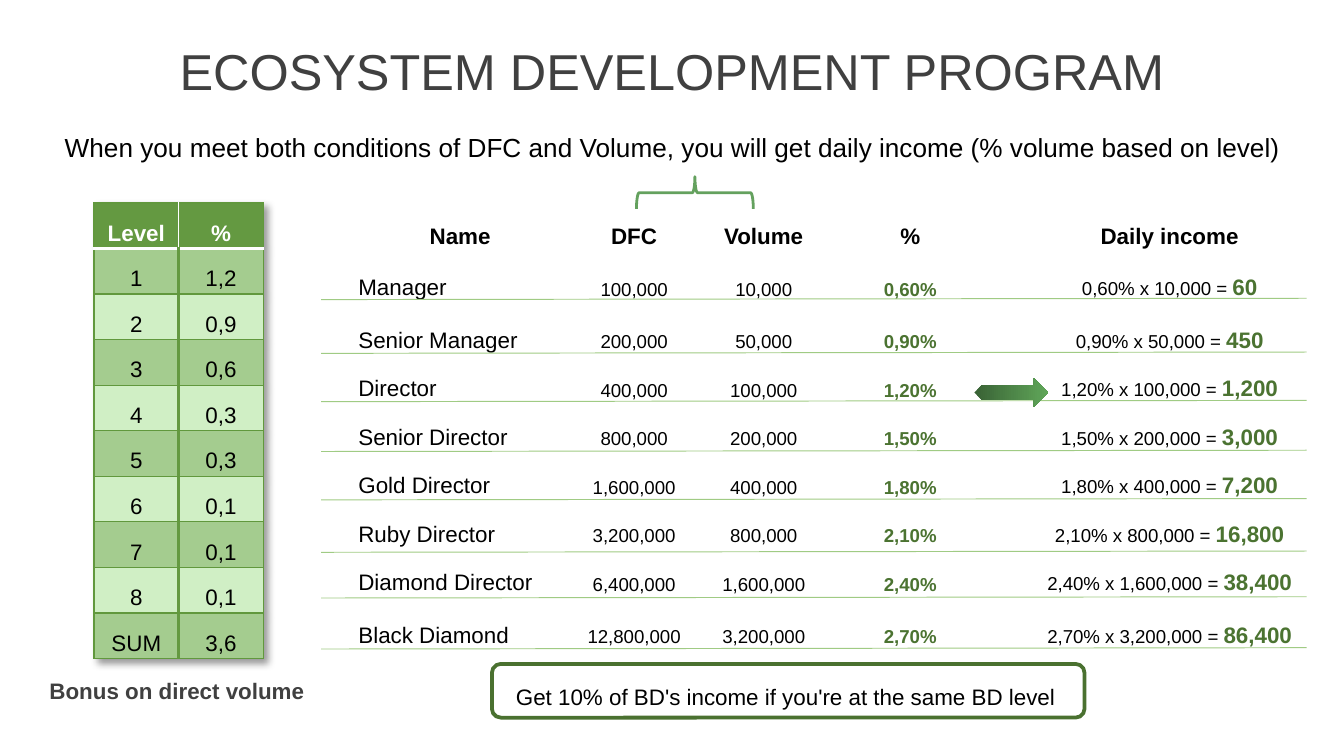
from lxml.etree import SubElement
from pptx import Presentation
from pptx.dml.color import RGBColor
from pptx.enum.shapes import MSO_CONNECTOR, MSO_SHAPE
from pptx.enum.text import MSO_ANCHOR, MSO_AUTO_SIZE, PP_ALIGN
from pptx.oxml import parse_xml
from pptx.oxml.ns import nsdecls, qn
from pptx.util import Pt

BLACK = RGBColor(0x00, 0x00, 0x00)
WHITE = RGBColor(0xFF, 0xFF, 0xFF)
GRAY = RGBColor(0x40, 0x40, 0x40)
GREEN = RGBColor(0x64, 0x99, 0x41)
EDGE_GREEN = RGBColor(0x61, 0x98, 0x3D)
DARK_BAND = RGBColor(0xA4, 0xCC, 0x8F)
LIGHT_BAND = RGBColor(0xD0, 0xEF, 0xC5)
VALUE_GREEN = RGBColor(0x4B, 0x73, 0x31)
CALLOUT_GREEN = RGBColor(0x4A, 0x71, 0x30)
BRACE_GREEN = RGBColor(0x64, 0xA1, 0x5E)
RULE_GREEN = RGBColor(0xA0, 0xCB, 0x84)
ARROW_DARK = RGBColor(0x39, 0x62, 0x35)
ARROW_LIGHT = RGBColor(0x60, 0xA6, 0x59)

FONT = "Arial"
NO_TABLE_STYLE = "{2D5ABB26-0587-4C30-8999-92F81FD0307C}"
LEVELS = [("Level", "%"), ("1", "1,2"), ("2", "0,9"), ("3", "0,6"), ("4", "0,3"),
          ("5", "0,3"), ("6", "0,1"), ("7", "0,1"), ("8", "0,1"), ("SUM", "3,6")]
RANK_HEADINGS = ("Name", "DFC", "Volume", "%", "Daily income")
RANKS = [
    ("Manager", "100,000", "10,000", "0,60%", "60"),
    ("Senior Manager", "200,000", "50,000", "0,90%", "450"),
    ("Director", "400,000", "100,000", "1,20%", "1,200"),
    ("Senior Director", "800,000", "200,000", "1,50%", "3,000"),
    ("Gold Director", "1,600,000", "400,000", "1,80%", "7,200"),
    ("Ruby Director", "3,200,000", "800,000", "2,10%", "16,800"),
    ("Diamond Director", "6,400,000", "1,600,000", "2,40%", "38,400"),
    ("Black Diamond", "12,800,000", "3,200,000", "2,70%", "86,400"),
]
RANK_WIDTHS = (113, 73.4, 65.5, 91.5, 186.5)
RANK_HEIGHTS = (26, 27.4, 28, 26, 26, 26, 26, 26, 28)
RULE_OFFSETS = (51.8, 80.6, 106.5, 133.2, 159.1, 187.2, 211.7, 239)
ARROW_OUTLINE = ((0, 8), (4, 4), (32, 4), (32, 0), (40, 8), (32, 16), (32, 12), (4, 12))


def add_span(para, text, size, color, bold=False):
    """Append a formatted run to a paragraph."""
    span = para.add_run()
    span.text = text
    span.font.name = FONT
    span.font.size = Pt(size)
    span.font.color.rgb = color
    span.font.bold = bold


def add_label(page, box, text, size, color, align, bold=False, wrap=True):
    """Place a one-paragraph text box."""
    frame = page.shapes.add_textbox(*map(Pt, box)).text_frame
    frame.word_wrap = wrap
    para = frame.paragraphs[0]
    para.alignment = align
    para.line_spacing = 1.5
    para.space_after = Pt(8)
    add_span(para, text, size, color, bold)


def add_plain_table(page, box, widths, heights):
    """Add an unstyled table with the given column widths and row heights."""
    table = page.shapes.add_table(len(heights), len(widths), *map(Pt, box)).table
    table._tbl.tblPr.find(qn("a:tableStyleId")).text = NO_TABLE_STYLE
    table.horz_banding = False
    for column, width in zip(table.columns, widths):
        column.width = Pt(width)
    for row, height in zip(table.rows, heights):
        row.height = Pt(height)
    return table


def fill_cell(cell, spans, align=PP_ALIGN.CENTER, inset=(2, 1)):
    """Write formatted runs at the bottom of a table cell."""
    cell.vertical_anchor = MSO_ANCHOR.BOTTOM
    cell.margin_left = cell.margin_right = Pt(inset[0])
    cell.margin_top = cell.margin_bottom = Pt(inset[1])
    para = cell.text_frame.paragraphs[0]
    para.alignment = align
    para.line_spacing = 1.5
    for span in spans:
        add_span(para, *span)


def set_borders(cell, borders):
    """Draw the borders of a cell, given as side: (colour, width)."""
    properties = cell._tc.get_or_add_tcPr()
    for index, side in enumerate("LRTB"):
        color, width = borders[side]
        line = parse_xml(f'<a:ln{side} {nsdecls("a")} w="{Pt(width)}"/>')
        fill = SubElement(line, qn("a:solidFill"))
        SubElement(fill, qn("a:srgbClr"), val=str(color))
        properties.insert(index, line)


def add_title(page, box, text):
    """Move and format the title placeholder."""
    title = page.shapes.title
    title.left, title.top, title.width, title.height = map(Pt, box)
    frame = title.text_frame
    frame.auto_size = MSO_AUTO_SIZE.NONE
    frame.vertical_anchor = MSO_ANCHOR.MIDDLE
    para = frame.paragraphs[0]
    para.alignment = PP_ALIGN.CENTER
    add_span(para, text, 27, GRAY)


def add_level_table(page, box):
    """Build the banded bonus table with its soft shadow."""
    width, height = box[2:]
    table = add_plain_table(page, box, [width / 2] * 2, [height / len(LEVELS)] * len(LEVELS))
    table._tbl.tblPr.insert(0, parse_xml(
        f'<a:effectLst {nsdecls("a")}><a:outerShdw blurRad="50800" dist="38100" dir="2700000" '
        'algn="tl"><a:srgbClr val="000000"><a:alpha val="40000"/></a:srgbClr>'
        '</a:outerShdw></a:effectLst>'))
    for row, values in enumerate(LEVELS):
        header = row == 0
        band = GREEN if header else DARK_BAND if row % 2 else LIGHT_BAND
        for column, value in enumerate(values):
            cell = table.cell(row, column)
            fill_cell(cell, [(value, 12, WHITE if header else BLACK, header)], inset=(2.2, 1.4))
            cell.fill.solid()
            cell.fill.fore_color.rgb = band
            borders = dict.fromkeys("LRTB", (EDGE_GREEN, 0.75))
            borders["L" if column else "R"] = (WHITE, 1) if header else (GREEN, 2)
            if header:
                borders["B"] = (WHITE, 2)
            elif row == 1:
                borders["T"] = (WHITE, 2)
            set_borders(cell, borders)


def add_rank_table(page, box):
    """Build the rank table and the thin rules under its rows."""
    table = add_plain_table(page, box, RANK_WIDTHS, RANK_HEIGHTS)
    for column, heading in enumerate(RANK_HEADINGS):
        fill_cell(table.cell(0, column), [(heading, 12, BLACK, True)])
    for row, (name, dfc, volume, percent, income) in enumerate(RANKS, 1):
        fill_cell(table.cell(row, 0), [(name, 12, BLACK)], PP_ALIGN.LEFT)
        fill_cell(table.cell(row, 1), [(dfc, 10, BLACK)])
        fill_cell(table.cell(row, 2), [(volume, 10, BLACK)])
        fill_cell(table.cell(row, 3), [(percent, 10, VALUE_GREEN, True)])
        fill_cell(table.cell(row, 4), [(f"{percent} x {volume} = ", 10, BLACK),
                                       (income, 12, VALUE_GREEN, True)])
    left, top, width, _ = box
    for offset in RULE_OFFSETS:
        rule = page.shapes.add_connector(
            MSO_CONNECTOR.STRAIGHT, Pt(left - 18), Pt(top + offset),
            Pt(left + width - 20), Pt(top + offset - 0.7))
        rule.line.color.rgb = RULE_GREEN
        rule.line.width = Pt(0.5)
        SubElement(rule._element.spPr, qn("a:effectLst"))


def add_outline(page, kind, box, color, width):
    """Place an unfilled preset shape."""
    shape = page.shapes.add_shape(kind, *map(Pt, box))
    shape.shadow.inherit = False
    shape.fill.background()
    shape.line.color.rgb = color
    shape.line.width = Pt(width)
    return shape


def add_callout(page, box, text):
    """Place the rounded frame and the note inside it."""
    left, top, width, height = box
    add_label(page, (left + 5.8, top - 0.7, width, height), text, 12, BLACK, PP_ALIGN.JUSTIFY)
    add_outline(page, MSO_SHAPE.ROUNDED_RECTANGLE, box, CALLOUT_GREEN, 2)


def add_arrow(page, box):
    """Draw the shaded arrow with a pointed tail."""
    left, top, width, height = box
    points = [(Pt(left + x * width / 40), Pt(top + y * height / 16)) for x, y in ARROW_OUTLINE]
    builder = page.shapes.build_freeform(*points[0])
    builder.add_line_segments(points[1:], close=True)
    arrow = builder.convert_to_shape()
    arrow.shadow.inherit = False
    arrow.line.fill.background()
    arrow.fill.gradient()
    arrow.fill.gradient_angle = 0
    for stop, color in zip(arrow.fill.gradient_stops, (ARROW_DARK, ARROW_LIGHT)):
        stop.color.rgb = color


def main():
    """Build and save the deck."""
    deck = Presentation()
    deck.slide_width, deck.slide_height = Pt(720), Pt(405)
    page = deck.slides.add_slide(deck.slide_layouts[5])
    add_title(page, (0, 15, 720, 45.5), "ECOSYSTEM DEVELOPMENT PROGRAM")
    add_rank_table(page, (190, 108.7, 530, 239.5))
    add_label(page, (13, 58.3, 695, 32.4),
              "When you meet both conditions of DFC and Volume, you will get daily income "
              "(% volume based on level)", 14, BLACK, PP_ALIGN.CENTER)
    add_level_table(page, (50.4, 108.7, 90.7, 241.5))
    add_label(page, (19.4, 352, 152.6, 28.8), "Bonus on direct volume", 12, GRAY,
              PP_ALIGN.JUSTIFY, bold=True, wrap=False)
    brace = add_outline(page, MSO_SHAPE.LEFT_BRACE, (363.6, 72, 17.3, 62.6), BRACE_GREEN, 1.5)
    brace.rotation = 90
    add_callout(page, (263.5, 355.7, 317.5, 28.8),
                "Get 10% of BD's income if you're at the same BD level")
    add_arrow(page, (522, 202.3, 39.6, 15.9))
    deck.save("out.pptx")


if __name__ == "__main__":
    main()
